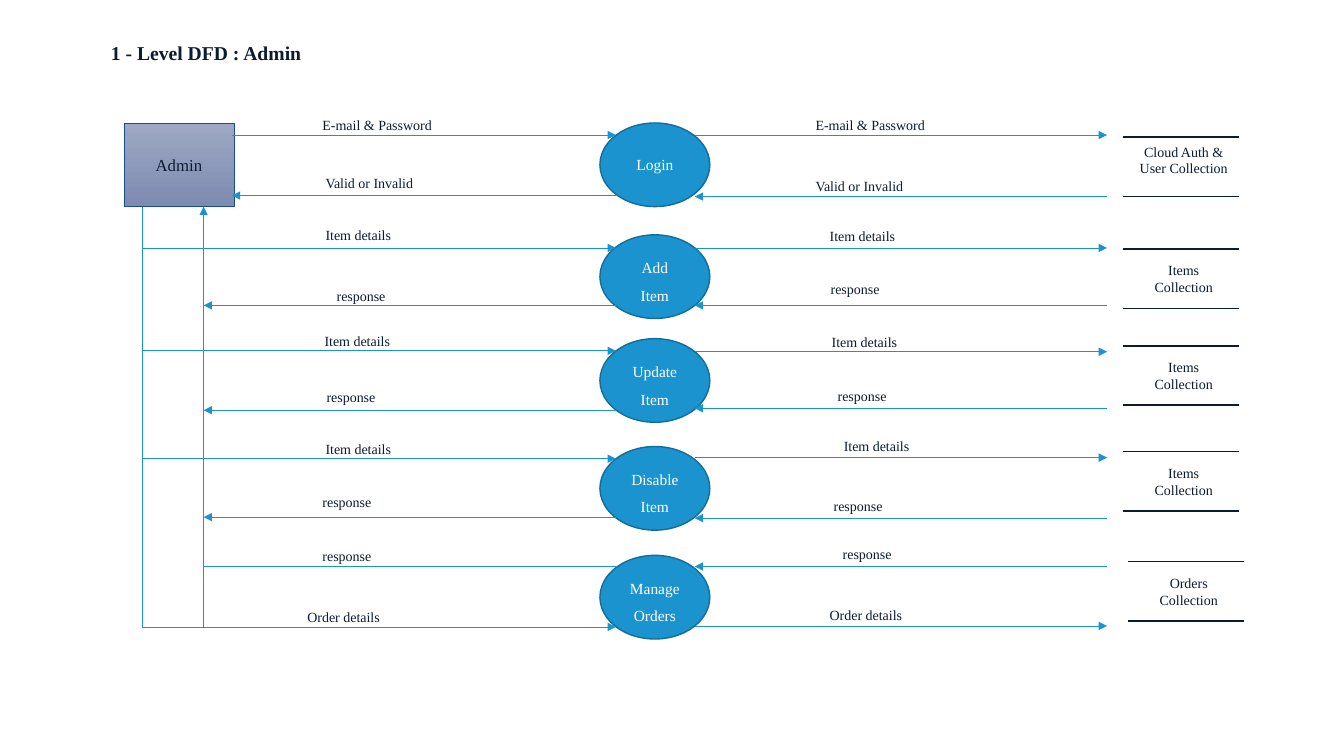
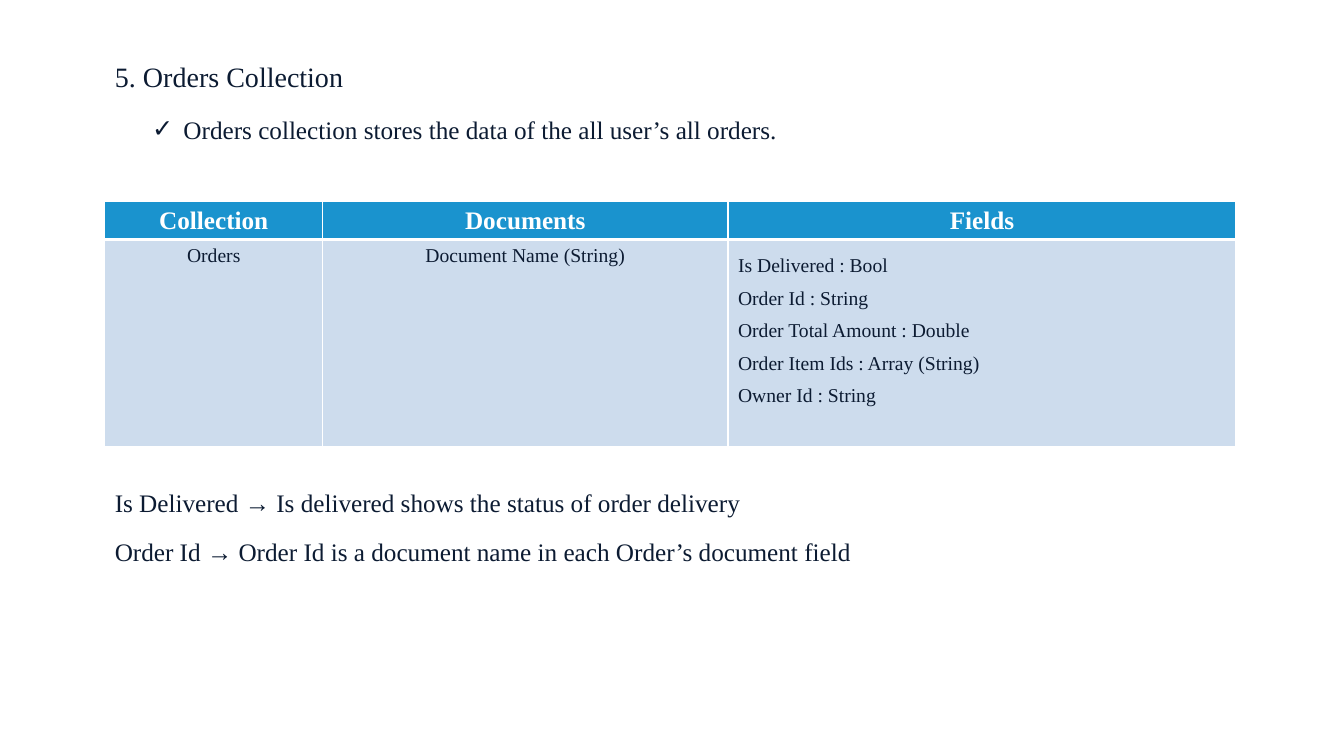
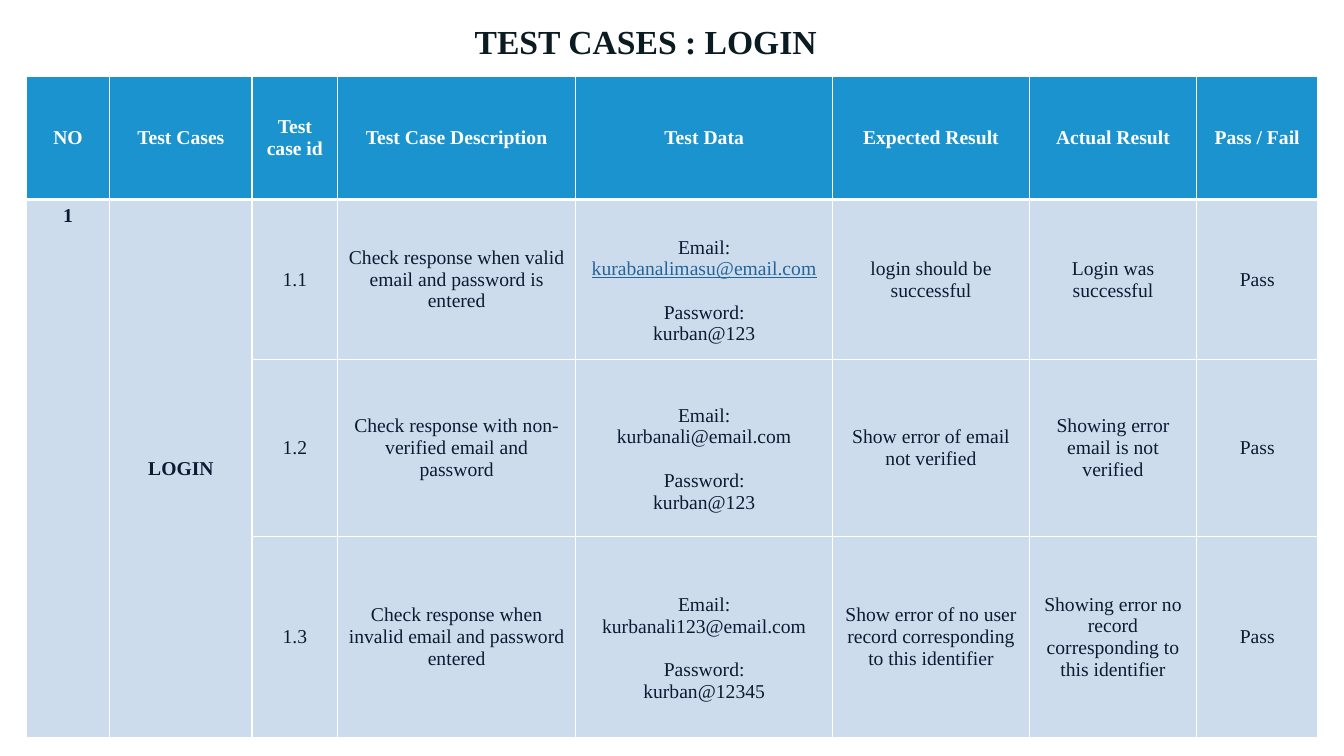
"""Build three project slides: an admin data flow, a collection table and login test cases."""
from lxml import etree
from pptx import Presentation
from pptx.dml.color import RGBColor as RGB
from pptx.enum.shapes import MSO_CONNECTOR as Link, MSO_SHAPE as Kind
from pptx.enum.text import MSO_ANCHOR as Anchor, MSO_AUTO_SIZE as Auto, PP_ALIGN as Align
from pptx.oxml.ns import qn
from pptx.util import Inches, Pt

FONT = "Times New Roman"
NAVY = RGB(0x0C, 0x1B, 0x32)
INK = RGB(0x0B, 0x1B, 0x22)
BLUE = RGB(0x1A, 0x93, 0xCE)
RIM = RGB(0x13, 0x6D, 0x98)
EDGE = RGB(0x19, 0x4E, 0x8A)
GREY = RGB(0x9E, 0xA8, 0xC4), RGB(0x7D, 0x8B, 0xB1)
PALE = RGB(0xCD, 0xDC, 0xED)
MAIL = RGB(0x25, 0x64, 0x99)
WHITE = RGB(0xFF, 0xFF, 0xFF)

NODES = [("Login", 1.22), ("Add Item", 2.33), ("Update Item", 3.36),
         ("Disable Item", 4.43), ("Manage Orders", 5.51)]
STORES = [("Cloud Auth &\nUser Collection", 11.14, 1.36, 0.01),
          ("Items\nCollection", 11.14, 2.47, 0.08),
          ("Items\nCollection", 11.14, 3.43, 0.08),
          ("Items\nCollection", 11.14, 4.48, 0.08),
          ("Orders\nCollection", 11.19, 5.57, 0.08)]
ADMIN, OUT, BACK, NODE_L, NODE_R, STORE = 2.3, 1.41, 2.02, 6.11, 6.89, 10.98
SENT = [("E-mail & Password", ADMIN, 1.34, (3.1, 1.11), 1.34, (7.99, 1.11)),
        ("Item details", OUT, 2.46, (3.13, 2.2), 2.46, (8.13, 2.21)),
        ("Item details", OUT, 3.48, (3.12, 3.25), 3.49, (8.15, 3.26)),
        ("Item details", OUT, 4.55, (3.13, 4.32), 4.54, (8.27, 4.29)),
        ("Order details", OUT, 6.22, (2.95, 5.99), 6.21, (8.13, 5.97))]
REPLIES = [("Valid or Invalid", ADMIN, 1.94, (3.13, 1.68), 1.95, (7.99, 1.71)),
           ("response", BACK, 3.03, (3.24, 2.8), 3.03, (8.14, 2.73)),
           ("response", BACK, 4.07, (3.14, 3.81), 4.05, (8.21, 3.8)),
           ("response", BACK, 5.13, (3.1, 4.85), 5.14, (8.17, 4.89)),
           ("response", BACK, 5.62, (3.1, 5.38), 5.62, (8.26, 5.36))]

ORDERS = [["Collection", "Documents", "Fields"],
          ["Orders", "Document Name (String)",
           "Is Delivered : Bool\nOrder Id : String\nOrder Total Amount : Double\n"
           "Order Item Ids : Array (String)\nOwner Id : String"]]
NOTES = ("Is Delivered → Is delivered shows the status of order delivery\n"
         "Order Id → Order Id is a document name in each Order’s document field")

TESTS = [["NO", "Test Cases", "Test case id", "Test Case Description", "Test Data",
          "Expected Result", "Actual Result", "Pass / Fail"],
         ["1", "LOGIN", "1.1", "Check response when valid email and password is entered",
          "Email:\nkurabanalimasu@email.com\nPassword:\nkurban@123",
          "login should be successful", "Login was successful", "Pass"],
         ["", "", "1.2", "Check response with non-verified email and password",
          "Email:\nkurbanali@email.com\nPassword:\nkurban@123",
          "Show error of email not verified", "Showing error email is not verified", "Pass"],
         ["", "", "1.3", "Check response when invalid email and password entered",
          "Email:\nkurbanali123@email.com\nPassword:\nkurban@12345",
          "Show error of no user record corresponding to this identifier",
          "Showing error no record corresponding to this identifier", "Pass"]]


def write(frame, text, size, color=NAVY, bold=False, align=Align.LEFT, space=None):
    """Fill a text frame and format all its runs."""
    frame.text = text
    for para in frame.paragraphs:
        para.alignment = align
        if space:
            para.line_spacing = space
        for run in para.runs:
            font = run.font
            font.name, font.size, font.bold = FONT, Pt(size), bold
            font.color.rgb = color


def place(shape, left, top, width, height):
    """Move and size a placeholder."""
    shape.left, shape.top = Inches(left), Inches(top)
    shape.width, shape.height = Inches(width), Inches(height)
    frame = shape.text_frame
    frame.auto_size, frame.word_wrap = Auto.NONE, True
    frame.vertical_anchor = Anchor.TOP
    return frame


def label(slide, text, left, top, width, height, size, align=Align.LEFT):
    """Add a wrapped text box."""
    box = slide.shapes.add_textbox(*map(Inches, (left, top, width, height)))
    box.text_frame.word_wrap = True
    write(box.text_frame, text, size, align=align)
    return box.text_frame


def line(slide, start, end, color=BLUE, width=0.5, arrow=False):
    """Add a straight line, with an arrowhead at its end if asked."""
    link = slide.shapes.add_connector(Link.STRAIGHT, *map(Inches, start + end))
    link.line.color.rgb, link.line.width = color, Pt(width)
    if arrow:
        etree.SubElement(link.line._get_or_add_ln(), qn("a:tailEnd"), type="triangle")
    etree.SubElement(link._element.spPr, qn("a:effectLst"))


def shape(slide, kind, text, top, left, size, color, rim, width, space=None):
    """Add a flow chart node and return it."""
    node = slide.shapes.add_shape(kind, *map(Inches, (left, top, 1.09, 0.83)))
    node.shadow.inherit = False
    node.line.color.rgb, node.line.width = rim, Pt(width)
    node.text_frame.vertical_anchor = Anchor.MIDDLE
    write(node.text_frame, text, size, color, align=Align.CENTER, space=space)
    return node


def border(cell, row):
    """Draw white cell borders, thick between head and body."""
    thick = {"lnT": row == 1, "lnB": row == 0}
    for spot, side in enumerate(("lnL", "lnR", "lnT", "lnB")):
        width = Pt(3 if thick.get(side) else 1)
        edge = etree.Element(qn("a:" + side), w=str(width))
        fill = etree.SubElement(edge, qn("a:solidFill"))
        etree.SubElement(fill, qn("a:srgbClr"), val=str(WHITE))
        cell._tc.get_or_add_tcPr().insert(spot, edge)


def grid(slide, rows, left, top, widths, heights, head, body):
    """Add a table with a blue head and pale body."""
    area = map(Inches, (left, top, sum(widths), sum(heights)))
    table = slide.shapes.add_table(len(rows), len(widths), *area).table
    table.horz_banding = False
    for col, width in zip(table.columns, widths):
        col.width = Inches(width)
    for r, (texts, height) in enumerate(zip(rows, heights)):
        table.rows[r].height = Inches(height)
        for c, text in enumerate(texts):
            cell = table.cell(r, c)
            cell.fill.solid()
            cell.fill.fore_color.rgb = PALE if r else BLUE
            border(cell, r)
            cell.vertical_anchor = Anchor.TOP if r else Anchor.MIDDLE
            write(cell.text_frame, text, body if r else head, NAVY if r else WHITE,
                  not r, Align.CENTER)
    return table


def flow(deck):
    """Build the data flow slide."""
    slide = deck.slides.add_slide(deck.slide_layouts[5])
    write(place(slide.shapes.title, 1, 0.36, 4, 0.34), "1 - Level DFD : Admin", 14, bold=True)
    admin = shape(slide, Kind.RECTANGLE, "Admin", 1.22, 1.23, 12, NAVY, EDGE, 0.5)
    admin.fill.gradient()
    admin.fill.gradient_angle = 270
    for stop, color in zip(admin.fill.gradient_stops, GREY):
        stop.color.rgb = color
    for text, top in NODES:
        space = 1.5 if " " in text else None
        node = shape(slide, Kind.OVAL, text, top, 5.95, 11, WHITE, RIM, 1, space)
        node.fill.solid()
        node.fill.fore_color.rgb = BLUE
    line(slide, (OUT, 2.05), (OUT, 6.22))
    line(slide, (BACK, 6.22), (BACK, 2.05), arrow=True)
    for flows, sent in ((SENT, True), (REPLIES, False)):
        for text, side, y1, spot1, y2, spot2 in flows:
            last = flows[-1][2] == y1
            for start, end, y, head in ((side, NODE_L, y1, sent or not last),
                                        (NODE_R, STORE, y2, True)):
                ends = (start, y), (end, y)
                line(slide, *(ends if sent else ends[::-1]), arrow=head)
            for spot in (spot1, spot2):
                label(slide, text, *spot, 1.38, 0.27, 10)
    for text, left, top, gap in STORES:
        for y in (top, top + 0.59):
            line(slide, (left, y), (left + 1.15, y), NAVY, 1.25)
        label(slide, text, left + 0.04, top + gap, 1.12, 0.44, 10, Align.CENTER)


def orders(deck):
    """Build the orders collection slide."""
    slide = deck.slides.add_slide(deck.slide_layouts[1])
    write(place(slide.shapes.title, 1.04, 0.54, 6, 0.44), "5. Orders Collection", 20)
    body = place(slide.placeholders[1], 1.41, 1.08, 8, 0.4)
    write(body, "Orders collection stores the data of the all user’s all orders.", 18)
    para = body.paragraphs[0]
    para.space_before = Pt(0)
    props = para._p.get_or_add_pPr()
    props.set("marL", str(Inches(0.31)))
    props.set("indent", str(-Inches(0.31)))
    etree.SubElement(props, qn("a:buChar"), char="✓")
    table = grid(slide, ORDERS, 1.04, 2, (2.16, 4.02, 5.04), (0.37, 2.05), 18, 14)
    for para in table.cell(1, 2).text_frame.paragraphs:
        para.alignment, para.line_spacing = Align.LEFT, 1.5
    notes = label(slide, NOTES, 1.04, 4.79, 9, 0.86, 18)
    notes.paragraphs[1].space_before = Pt(13)


def tests(deck):
    """Build the login test case slide."""
    slide = deck.slides.add_slide(deck.slide_layouts[5])
    write(place(slide.shapes.title, 0, 0.16, 12.81, 0.5), "TEST CASES : LOGIN", 24, INK,
          True, Align.CENTER)
    table = grid(slide, TESTS, 0.26, 0.76, (0.83, 1.41, 0.85, 2.36, 2.55, 1.95, 1.66, 1.2),
                 (1.22, 1.59, 1.75, 2), 14, 14)
    for r in (1, 2, 3):
        for c in range(1, 8):
            table.cell(r, c).vertical_anchor = Anchor.MIDDLE
        data = table.cell(r, 4)
        data.margin_top = Inches(0.27)
        data.text_frame.paragraphs[2].space_before = Pt(15.5)
    for c in (0, 1):
        table.cell(1, c).merge(table.cell(3, c))
        table.cell(1, c).text_frame.paragraphs[0].runs[0].font.bold = True
    mail = table.cell(1, 4).text_frame.paragraphs[1].runs[0].font
    mail.color.rgb, mail.underline = MAIL, True


def main():
    """Build and save the deck."""
    deck = Presentation()
    deck.slide_width, deck.slide_height = Inches(13.33), Inches(7.5)
    for build in (flow, orders, tests):
        build(deck)
    deck.save("out.pptx")


if __name__ == "__main__":
    main()
